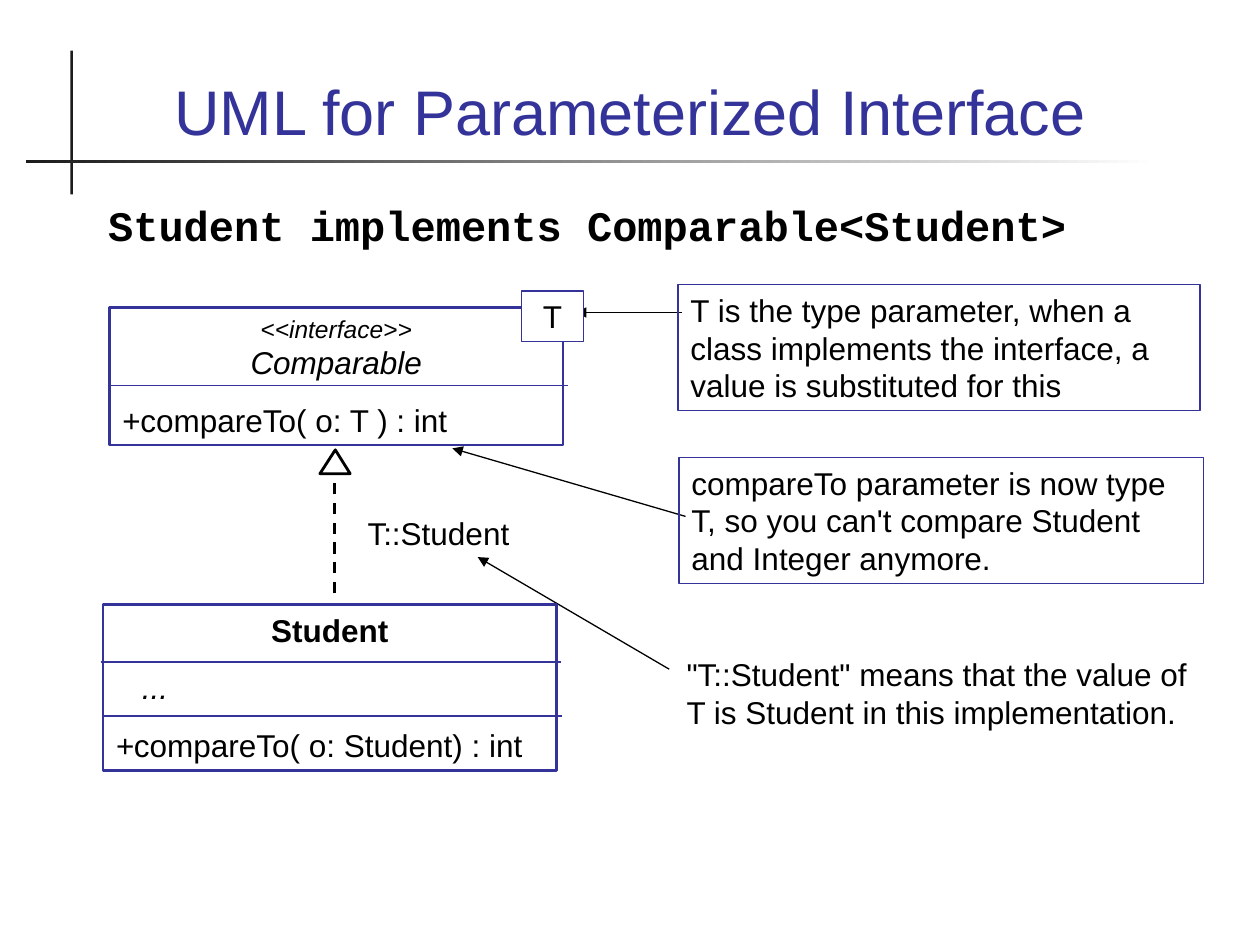
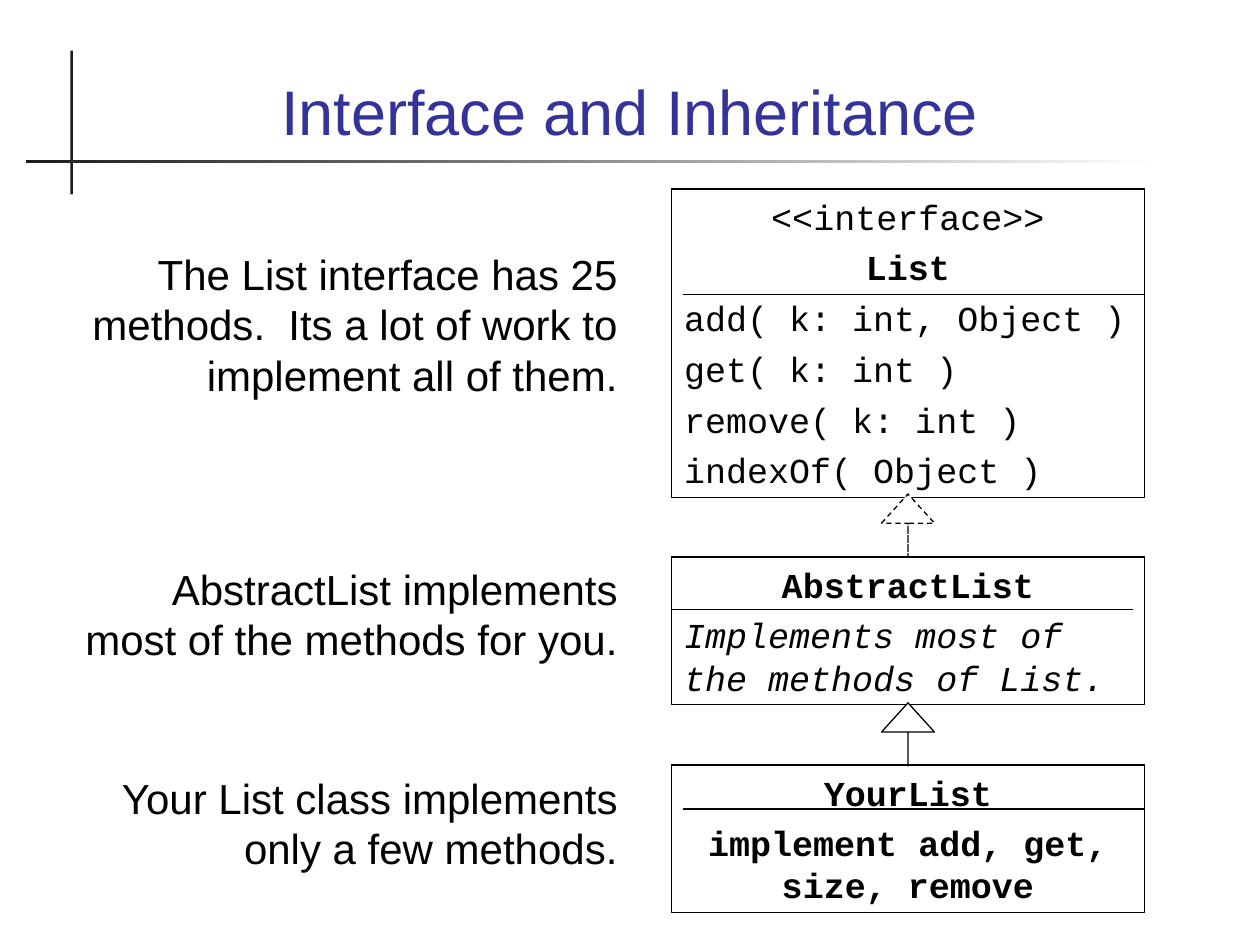
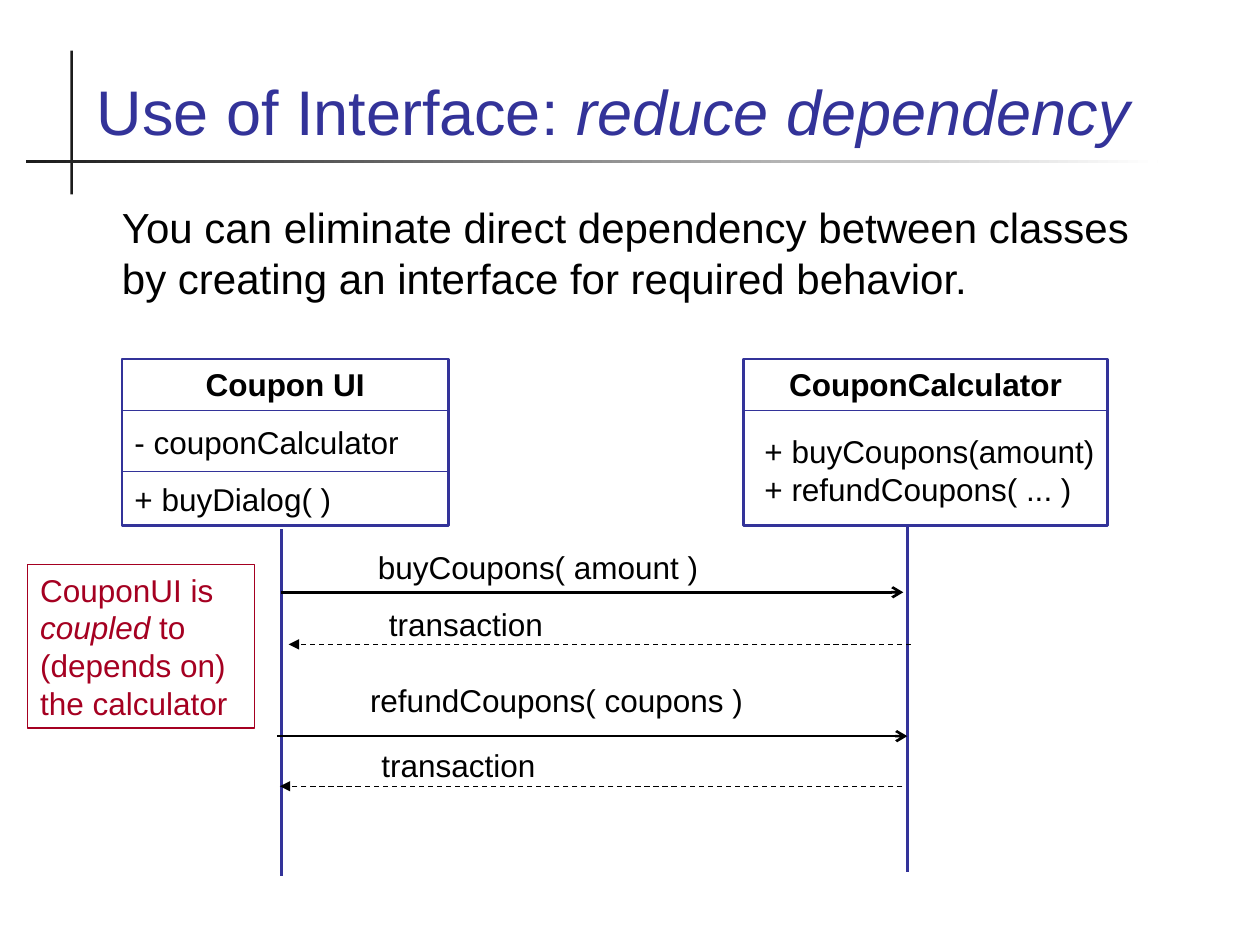
from dataclasses import dataclass

from lxml import etree
from pptx import Presentation
from pptx.dml.color import RGBColor
from pptx.enum import dml, shapes, text
from pptx.oxml.ns import qn
from pptx.util import Cm, Pt

BLACK = RGBColor(0x00, 0x00, 0x00)
WHITE = RGBColor(0xFF, 0xFF, 0xFF)
INK = RGBColor(0x1C, 0x1C, 0x1C)
INDIGO = RGBColor(0x33, 0x33, 0x99)
CRIMSON = RGBColor(0xA5, 0x00, 0x21)
SANS, MONO = "Arial", "Courier New"
LEFT, CENTER, RIGHT = text.PP_ALIGN.LEFT, text.PP_ALIGN.CENTER, text.PP_ALIGN.RIGHT
LEADING = 1.2  # line height as a multiple of the text size


@dataclass
class Para:
    runs: list  # (words, style), style made of "b" and "i"
    align: int = LEFT
    size: int = 18
    font: str = SANS
    before: float = 11.2
    indent: float = 0
    color: RGBColor = BLACK


def plain(words, style="", **look):
    return Para([(words, style)], **look)


def code(words, style="", align=LEFT):
    return plain(words, style, align=align, size=20, font=MONO, before=5)


# ---- Content (places in cm: left, top, width, height) ----
TITLES = [
    ([("UML for Parameterized Interface", "")], CENTER),
    ([("Interface and Inheritance", "")], CENTER),
    ([("Use of Interface: ", ""), ("reduce dependency", "i")], LEFT),
]

# Slide 1
DECLARATION = ((1.93, 3.89, 22, 1.47),
               plain("Student implements Comparable<Student>", "b", size=24, font=MONO))
BINDING_LABELS = [
    ((7.16, 10.24, 3.94, 1.02), "T::Student"),
    ((13.59, 13.08, 10.92, 1.78),
     '"T::Student" means that the value of T is Student in this implementation.'),
]
PARAMETER_NOTES = [
    ((13.67, 5.74, 10.52, 2.54),
     "T is the type parameter, when a class implements the interface, "
     "a value is substituted for this"),
    ((13.69, 9.22, 10.57, 2.54),
     "compareTo parameter is now type T, so you can't compare Student and Integer anymore."),
]
POINTERS = [((13.74, 6.3), (11.61, 6.3)), ((13.82, 10.41), (9.12, 9.04)),
            ((13.49, 13.49), (9.63, 11.23))]
UML_CLASSES = [
    ((2.21, 6.2, 9.14, 2.77), [
        plain("<<interface>>", "i", align=CENTER, size=14),
        plain("Comparable", "i", align=CENTER, before=0),
        Para([("+", "i"), ("compareTo( o: T ) : int", "")])]),
    ((2.08, 12.19, 9.14, 3.35), [
        plain("Student", "b", align=CENTER),
        plain("...", "i", indent=0.53),
        Para([("+", "i"), ("compareTo( o: Student) : int", "")])]),
]
UML_DIVIDERS = [(2.21, 7.77, 9.25), (2.03, 13.34, 9.27), (2.06, 14.43, 9.27)]
TYPE_TAG = ((10.52, 5.87, 1.24, 1.02), "T")
REALIZATION = ((6.75, 11.96), (6.75, 9.55))
REALIZATION_HEAD = [(6.45, 9.55), (7.06, 9.55), (6.76, 9.07)]

# Slide 2: top, height, divider (start, y), lines, note top, note
HIERARCHY = [
    (3.81, 6.22, (13.77, 5.93),
     [code("<<interface>>", align=CENTER), code("List", "b", CENTER),
      code("add( k: int, Object )"), code("get( k: int )"),
      code("remove( k: int )"), code("indexOf( Object )")],
     4.88, "The List interface has 25 methods.  Its a lot of work to implement all of them."),
    (11.23, 2.97, (13.54, 12.28),
     [code("AbstractList", "b", CENTER),
      code("Implements most of the methods of List.", "i")],
     11.23, "AbstractList implements most of the methods for you."),
    (15.42, 2.97, (13.77, 16.31),
     [code("YourList", "b", CENTER),
      code("implement add, get, size, remove", "b", CENTER)],
     15.44, "Your List class implements only a few methods."),
]
HIERARCHY_LEFT, HIERARCHY_WIDTH, DIVIDER_WIDTH = 13.54, 9.53, 9.3
INHERIT_WIDTH, INHERIT_HEIGHT = 1.07, 1.27
INHERIT_TOPS = [(9.96, True), (14.17, False)]  # top, dashed

# Slide 3
INTRO = ((2.21, 3.94, 20.98, 2.29),
         "You can eliminate direct dependency between classes by creating "
         "an interface for required behavior.")
COUPON_CLASSES = [
    ((2.46, 7.24, 6.58, 3.35), [
        plain("Coupon UI", "b", align=CENTER), plain("- couponCalculator"),
        plain("+ buyDialog( )")], [8.28, 9.5]),
    ((14.99, 7.24, 7.34, 3.35), [plain("CouponCalculator", "b", align=CENTER)], [8.28]),
]
CALCULATOR_METHODS = ((15.16, 8.59, 7.24, 1.78),
                      [plain("+ buyCoupons(amount)"),
                       plain("+ refundCoupons( ... )", before=0)])
LIFELINES = [(5.68, 10.67), (18.29, 10.59)]
LIFELINE_LENGTH = 6.98
# words, label left, label top, from x, to x, y, is a reply
MESSAGES = [
    ("buyCoupons( amount )", 7.37, 10.92, 5.66, 18.21, 11.94, False),
    ("transaction", 7.59, 12.07, 18.36, 5.82, 12.99, True),
    ("refundCoupons( coupons )", 7.21, 13.61, 5.59, 18.29, 14.84, False),
    ("transaction", 7.44, 14.91, 18.19, 5.64, 15.85, True),
]
COUPLING = ((0.56, 11.38, 4.57, 3.3),
            Para([("CouponUI is ", ""), ("coupled", "i"),
                  (" to (depends on) the calculator", "")], color=CRIMSON))


# ---- Drawing ----
def write(shape, paras, anchor=text.MSO_ANCHOR.TOP, leading=LEADING):
    frame = shape.text_frame
    frame.word_wrap = True
    frame.vertical_anchor = anchor
    for i, para in enumerate(paras):
        p = frame.add_paragraph() if i else frame.paragraphs[0]
        p.alignment = para.align
        if leading:
            p.line_spacing = Pt(para.size * leading)
        if i:
            p.space_before = Pt(para.before)
        if para.indent:
            p._p.get_or_add_pPr().set("marL", str(Cm(para.indent)))
        for words, style in para.runs:
            run = p.add_run()
            run.text = words
            run.font.name = para.font
            run.font.size = Pt(para.size)
            run.font.color.rgb = para.color
            run.font.bold = "b" in style
            run.font.italic = "i" in style


def label(slide, place, *paras, **options):
    write(slide.shapes.add_textbox(*map(Cm, place)), paras, **options)


def outline(shape, color, weight, fill=None, dashed=False):
    shape.shadow.inherit = False
    if fill is None:
        shape.fill.background()
    else:
        shape.fill.solid()
        shape.fill.fore_color.rgb = fill
    shape.line.color.rgb = color
    shape.line.width = Pt(weight)
    if dashed:
        shape.line.dash_style = dml.MSO_LINE.DASH


def box(slide, place, paras, color=INDIGO, weight=0.75, fill=None):
    shape = slide.shapes.add_shape(shapes.MSO_SHAPE.RECTANGLE, *map(Cm, place))
    outline(shape, color, weight, fill)
    write(shape, paras)


def line(slide, start, end, color=BLACK, weight=0.75, head=None, dashed=False):
    link = slide.shapes.add_connector(shapes.MSO_CONNECTOR.STRAIGHT,
                                      *map(Cm, start + end))
    link.line.color.rgb = color
    link.line.width = Pt(weight)
    if dashed:
        link.line.dash_style = dml.MSO_LINE.DASH
    if head:
        etree.SubElement(link.line._get_or_add_ln(), qn("a:tailEnd"), type=head)
    etree.SubElement(link._element.spPr, qn("a:effectLst"))


def rule(slide, left, y, width, weight=0.75, color=INDIGO):
    line(slide, (left, y), (left + width, y), color, weight)


def band(slide, place, fades=False):
    bar = slide.shapes.add_shape(shapes.MSO_SHAPE.RECTANGLE, *map(Cm, place))
    bar.shadow.inherit = False
    bar.line.fill.background()
    if fades:
        bar.fill.gradient()
        bar.fill.gradient_angle = 0
        for stop, color in zip(bar.fill.gradient_stops, (INK, WHITE)):
            stop.color.rgb = color
    else:
        bar.fill.solid()
        bar.fill.fore_color.rgb = INK


def start_slide(deck, title, align):
    slide = deck.slides.add_slide(deck.slide_layouts[6])
    band(slide, (1.42, 1.02, 0.05, 2.9))
    band(slide, (0.53, 3.23, 22.81, 0.05), fades=True)
    label(slide, (1.7, 0.71, 22, 2.41),
          Para(title, align=align, size=36, color=INDIGO),
          anchor=text.MSO_ANCHOR.BOTTOM, leading=None)
    return slide


def draw_parameterized(slide):
    label(slide, *DECLARATION)
    # Realization arrow
    line(slide, *REALIZATION, weight=1.62, dashed=True)
    first, *others = [tuple(map(Cm, point)) for point in REALIZATION_HEAD]
    builder = slide.shapes.build_freeform(*first)
    builder.add_line_segments(others, close=True)
    outline(builder.convert_to_shape(), BLACK, 1.62)
    # Notes and pointers
    for place, words in BINDING_LABELS:
        label(slide, place, plain(words))
    for start, end in POINTERS:
        line(slide, start, end, head="triangle")
    for place, words in PARAMETER_NOTES:
        box(slide, place, [plain(words)])
    # Classes
    for divider in UML_DIVIDERS:
        rule(slide, *divider, weight=1)
    for place, paras in UML_CLASSES:
        box(slide, place, paras, weight=1.5)
    place, words = TYPE_TAG
    box(slide, place, [plain(words, align=CENTER)], fill=WHITE)


def draw_hierarchy(slide):
    for top, height, divider, paras, note_top, note in HIERARCHY:
        box(slide, (HIERARCHY_LEFT, top, HIERARCHY_WIDTH, height), paras, BLACK)
        rule(slide, *divider, DIVIDER_WIDTH, color=BLACK)
        label(slide, (1.27, note_top, 11.43, 2.74),
              plain(note, align=RIGHT, size=24))
    left = HIERARCHY_LEFT + (HIERARCHY_WIDTH - INHERIT_WIDTH) / 2
    for top, dashed in INHERIT_TOPS:
        arrow = slide.shapes.add_shape(
            shapes.MSO_SHAPE.UP_ARROW,
            *map(Cm, (left, top, INHERIT_WIDTH, INHERIT_HEIGHT)))
        arrow.adjustments[0], arrow.adjustments[1] = 0, 0.55
        outline(arrow, BLACK, 0.75, WHITE, dashed)


def draw_sequence(slide):
    place, words = INTRO
    label(slide, place, plain(words, size=24))
    # Classes and lifelines
    for place, paras, dividers in COUPON_CLASSES:
        box(slide, place, paras, weight=1.5)
        for y in dividers:
            rule(slide, place[0], y, place[2])
    place, methods = CALCULATOR_METHODS
    label(slide, place, *methods)
    for x, top in LIFELINES:
        line(slide, (x, top), (x, top + LIFELINE_LENGTH), INDIGO, 1.5)
    # Messages
    for words, left, top, start, end, y, reply in MESSAGES:
        line(slide, (start, y), (end, y), weight=0.75 if reply else 1.5,
             head="triangle" if reply else "arrow", dashed=reply)
        label(slide, (left, top, 9.42, 1.02), plain(words))
    place, warning = COUPLING
    box(slide, place, [warning], CRIMSON)


def main():
    deck = Presentation()
    deck.slide_width, deck.slide_height = Cm(25.4), Cm(19.05)
    drawings = [draw_parameterized, draw_hierarchy, draw_sequence]
    for (title, align), draw in zip(TITLES, drawings):
        draw(start_slide(deck, title, align))
    deck.save("out.pptx")


if __name__ == "__main__":
    main()
